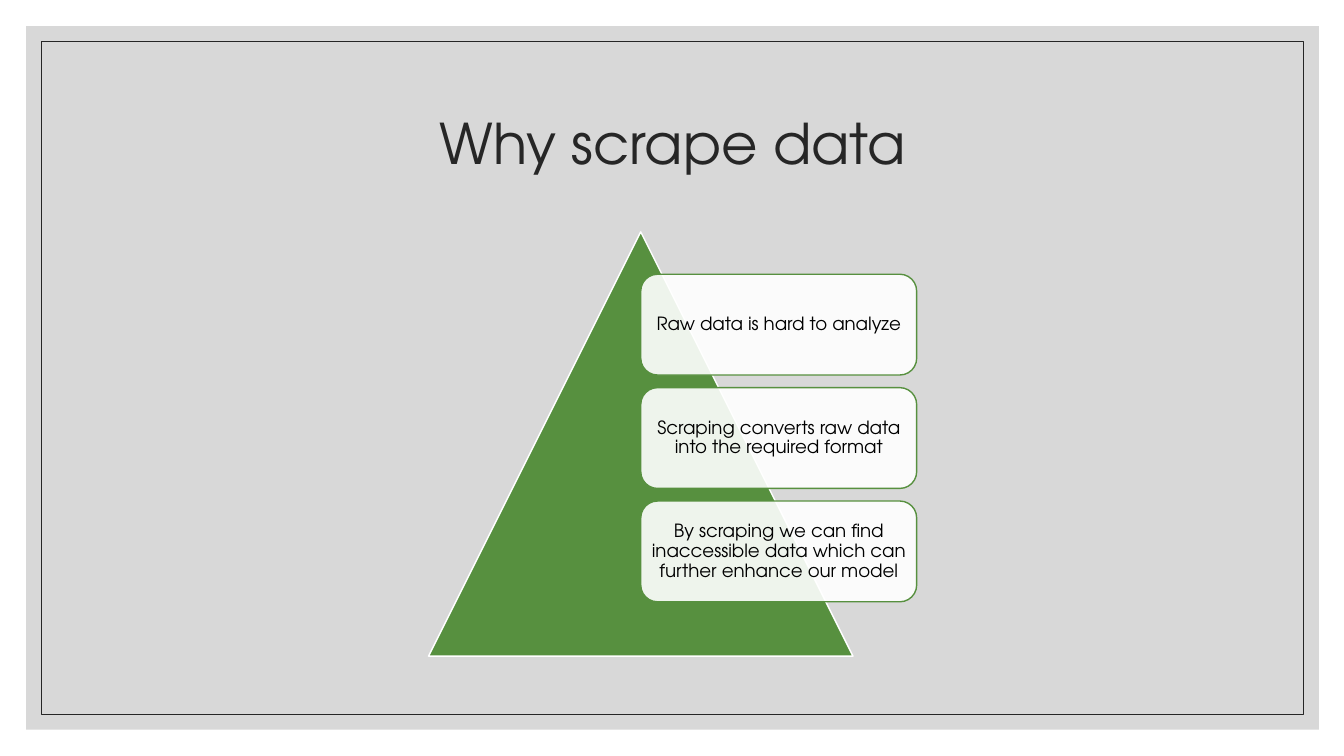
from pptx import Presentation
from pptx.dml.color import RGBColor
from pptx.enum.shapes import MSO_SHAPE
from pptx.enum.text import MSO_ANCHOR, PP_ALIGN
from pptx.oxml.ns import qn
from pptx.util import Inches, Pt
from lxml.etree import SubElement

FONT = "TeX Gyre Adventor"
WHITE = "FFFFFF"
GRAY = "BFBFBF"
DARK = "262626"
BLACK = "000000"
GREEN = "57903F"

REASONS = [
    "Raw data is hard to analyze",
    "Scraping converts raw data into the required format",
    "By scraping we can find inaccessible data which can further enhance our model",
]


def color(hex_text):
    return RGBColor.from_string(hex_text)


def add_shape(slide, kind, box, fill=None, opacity=100, line=None, line_width=1):
    shape = slide.shapes.add_shape(kind, *map(Inches, box))
    shape.shadow.inherit = False
    if fill:
        shape.fill.solid()
        shape.fill.fore_color.rgb = color(fill)
        if opacity < 100:
            fill_color = shape.fill._xPr.find(qn("a:solidFill"))[0]
            SubElement(fill_color, qn("a:alpha"), val=str(opacity * 1000))
    else:
        shape.fill.background()
    if line:
        shape.line.color.rgb = color(line)
        shape.line.width = Pt(line_width)
    else:
        shape.line.fill.background()
    return shape


def write_text(shape, text, size, font_color, margin=0.1):
    frame = shape.text_frame
    frame.word_wrap = True
    frame.vertical_anchor = MSO_ANCHOR.MIDDLE
    frame.margin_left = frame.margin_right = Inches(margin)
    frame.margin_top = frame.margin_bottom = Inches(min(margin, 0.05))
    paragraph = frame.paragraphs[0]
    paragraph.alignment = PP_ALIGN.CENTER
    paragraph.line_spacing = 0.9
    run = paragraph.add_run()
    run.text = text
    run.font.name = FONT
    run.font.size = Pt(size)
    run.font.color.rgb = color(font_color)


def add_frame(slide, box):
    left, top, width, height = box
    inset = 0.15
    add_shape(slide, MSO_SHAPE.RECTANGLE, box, fill=GRAY, opacity=60)
    inner = (left + inset, top + inset, width - 2 * inset, height - 2 * inset)
    add_shape(slide, MSO_SHAPE.RECTANGLE, inner, line=DARK, line_width=0.5)


def add_title(slide, box, text):
    title = slide.shapes.add_textbox(*map(Inches, box))
    write_text(title, text, 40, DARK)


def add_pyramid_list(slide, box, items):
    left, top, side, _ = box
    add_shape(slide, MSO_SHAPE.ISOSCELES_TRIANGLE, box, fill=GREEN, line=WHITE)
    card_left = left + side / 2
    card_width = side * 0.65
    card_height = 1
    pitch = card_height * 9 / 8
    for index, item in enumerate(items):
        card_top = top + side / 10 + index * pitch
        card = add_shape(slide, MSO_SHAPE.ROUNDED_RECTANGLE,
                         (card_left, card_top, card_width, card_height),
                         fill=WHITE, opacity=90, line=GREEN)
        write_text(card, item, 13, BLACK, margin=0.05)


def main():
    presentation = Presentation()
    presentation.slide_width = Inches(13.33)
    presentation.slide_height = Inches(7.5)
    slide = presentation.slides.add_slide(presentation.slide_layouts[6])
    add_frame(slide, (0.26, 0.26, 12.82, 6.98))
    add_title(slide, (1.17, 0.7, 11, 1.5), "Why scrape data")
    add_pyramid_list(slide, (4.25, 2.3, 4.21, 4.21), REASONS)
    presentation.save("out.pptx")


if __name__ == "__main__":
    main()
